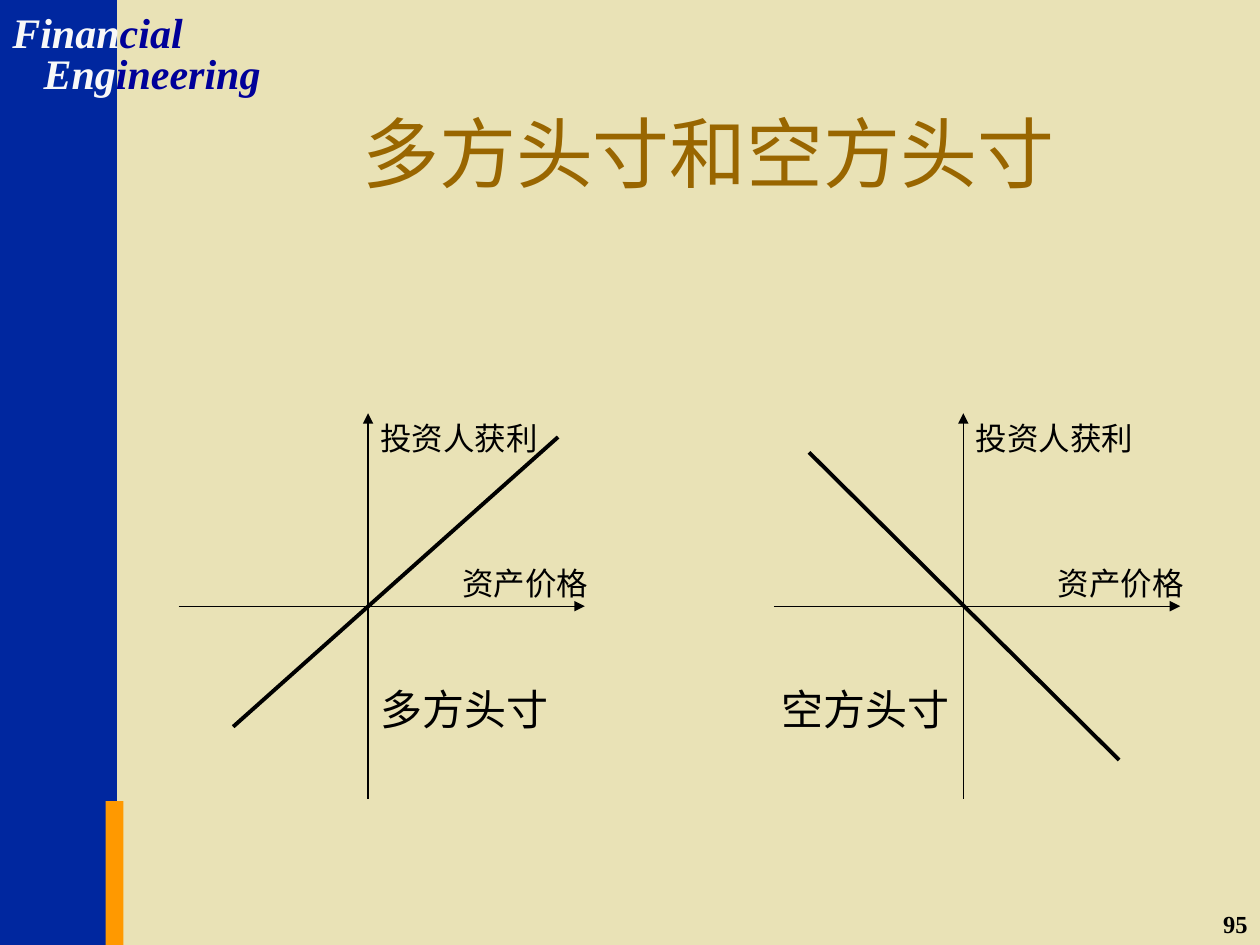
from lxml import etree
from pptx import Presentation
from pptx.dml.color import RGBColor
from pptx.enum.shapes import MSO_CONNECTOR, MSO_SHAPE
from pptx.enum.text import MSO_ANCHOR, PP_ALIGN
from pptx.oxml.ns import qn
from pptx.util import Cm, Pt

STRAIGHT = MSO_CONNECTOR.STRAIGHT
RECTANGLE = MSO_SHAPE.RECTANGLE
TOP, MIDDLE = MSO_ANCHOR.TOP, MSO_ANCHOR.MIDDLE
LEFT, CENTER, RIGHT = PP_ALIGN.LEFT, PP_ALIGN.CENTER, PP_ALIGN.RIGHT
JUSTIFY = PP_ALIGN.JUSTIFY

SAND = RGBColor(0xE9, 0xE2, 0xB6)
BLUE = RGBColor(0x00, 0x27, 0x9F)
ORANGE = RGBColor(0xFF, 0x99, 0x00)
WHITE = RGBColor(0xF8, 0xF8, 0xF8)
NAVY = RGBColor(0x00, 0x00, 0x99)
BROWN = RGBColor(0x99, 0x66, 0x00)
BLACK = RGBColor(0x00, 0x00, 0x00)

FONT = "Times New Roman"
TITLE_ONLY = 5


def write(shape, *parts, size, align=LEFT, anchor=TOP, bold=False,
          italic=False, wrap=True):
    """Fill the shape with one paragraph of (text, colour) parts."""
    frame = shape.text_frame
    frame.word_wrap = wrap
    frame.vertical_anchor = anchor
    paragraph = frame.paragraphs[0]
    paragraph.alignment = align
    for text, color in parts:
        run = paragraph.add_run()
        run.text = text
        run.font.name = FONT
        run.font.size = Pt(size)
        run.font.bold = bold
        run.font.italic = italic
        run.font.color.rgb = color


def add_label(slide, left, top, width, height, *parts, **style):
    label = slide.shapes.add_textbox(Cm(left), Cm(top), Cm(width), Cm(height))
    write(label, *parts, **style)


def add_bar(slide, left, top, width, height, color):
    bar = slide.shapes.add_shape(RECTANGLE, Cm(left), Cm(top), Cm(width), Cm(height))
    bar.shadow.inherit = False
    bar.fill.solid()
    bar.fill.fore_color.rgb = color
    bar.line.fill.background()


def add_line(slide, start, end, weight, arrow=False):
    line = slide.shapes.add_connector(STRAIGHT, *map(Cm, start + end))
    line.line.color.rgb = BLACK
    line.line.width = Pt(weight)
    properties = line._element.spPr
    if arrow:
        outline = properties.find(qn("a:ln"))
        etree.SubElement(outline, qn("a:tailEnd"), type="triangle")
    etree.SubElement(properties, qn("a:effectLst"))


def add_side_band(slide, height):
    band_width, accent_height = 2.36, 2.9
    add_bar(slide, 0, 0, band_width, height, BLUE)
    add_bar(slide, band_width - 0.23, height - accent_height, 0.36, accent_height, ORANGE)


def add_course_name(slide, left, top):
    style = {"size": 24, "bold": True, "italic": True, "wrap": False}
    add_label(slide, left, top, 3.94, 1.27,
              ("Finan", WHITE), ("cial", NAVY), **style)
    add_label(slide, left + 0.63, top + 0.84, 4.88, 1.27,
              ("Eng", WHITE), ("ineering", NAVY), **style)


def set_title(slide, left, top, width, height, text):
    title = slide.shapes.title
    title.left, title.top = Cm(left), Cm(top)
    title.width, title.height = Cm(width), Cm(height)
    write(title, (text, BROWN), size=44, align=CENTER, anchor=MIDDLE)


def add_payoff_diagram(slide, left, top, position, position_left, payoff):
    """Draw axes, payoff line and labels; payoff holds two ends within the box."""
    width, height = 8.19, 7.77
    origin_x, origin_y = left + 3.82, top + 3.89
    add_line(slide, (left, origin_y), (left + width, origin_y), 0.75, arrow=True)
    add_line(slide, (origin_x, top + height), (origin_x, top), 0.75, arrow=True)
    start, end = [(left + x, top + y) for x, y in payoff]
    add_line(slide, start, end, 2.25)

    add_label(slide, left + position_left, top + 5.33, 4.2, 1.96,
              (position, BLACK), size=24, align=JUSTIFY)
    add_label(slide, origin_x, top, 4, 1.45,
              ("投资人获利", BLACK), size=18, align=JUSTIFY)
    add_label(slide, left + 5.47, top + 2.92, 3.28, 1.45,
              ("资产价格", BLACK), size=18, align=JUSTIFY)


def main():
    presentation = Presentation()
    presentation.slide_width, presentation.slide_height = Cm(25.4), Cm(19.05)
    slide = presentation.slides.add_slide(presentation.slide_layouts[TITLE_ONLY])
    slide.background.fill.solid()
    slide.background.fill.fore_color.rgb = SAND

    add_side_band(slide, 19.05)
    add_course_name(slide, 0, 0)
    add_label(slide, 20.12, 18.21, 5.28, 1.27, ("95", BLACK),
              size=14, bold=True, align=RIGHT)
    set_title(slide, 3.81, 1.47, 20.96, 3.18, "多方头寸和空方头寸")
    add_payoff_diagram(slide, 3.6, 8.33, "多方头寸", 3.82,
                       [(1.1, 6.32), (7.65, 0.48)])
    add_payoff_diagram(slide, 15.6, 8.33, "空方头寸", -0.1,
                       [(6.96, 6.99), (0.71, 0.79)])
    presentation.save("out.pptx")


if __name__ == "__main__":
    main()
